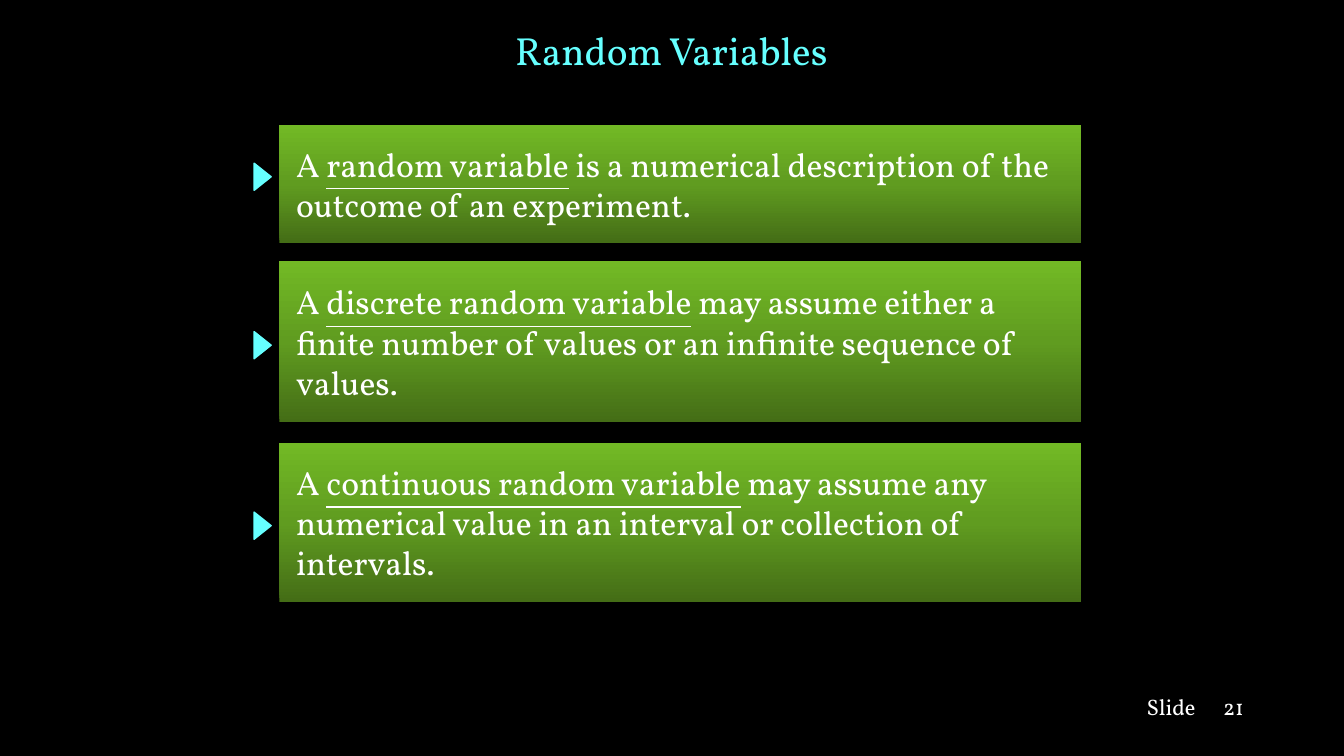
from copy import deepcopy
from pptx import Presentation
from pptx.dml.color import RGBColor
from pptx.enum.shapes import MSO_SHAPE as Kind
from pptx.enum.text import MSO_ANCHOR as Anchor, PP_ALIGN as Align
from pptx.oxml.ns import qn
from pptx.util import Pt


def tint(code):
    return RGBColor.from_string(code)


def write(frame, lines, size=24, color="FFFFFF", font="Vollkorn",
          align=Align.LEFT, anchor=Anchor.MIDDLE, left=7.2, wrap=True):
    frame.word_wrap = wrap
    frame.vertical_anchor = anchor
    frame.margin_left = Pt(left)
    for row, line in enumerate(lines):
        para = frame.add_paragraph() if row else frame.paragraphs[0]
        para.alignment = align
        for spot, part in enumerate(line.split("_")):
            run = para.add_run()
            run.text = part
            run.font.size = Pt(size)
            run.font.name = font
            run.font.color.rgb = tint(color)
            if spot % 2:
                run.font.underline = True


class Deck:
    cyan = "66FFFF"
    greens = ("446D16", "609C20", "72B925")

    def __init__(self):
        self.show = Presentation()
        self.show.slide_width = Pt(960)
        self.show.slide_height = Pt(540)
        self.slide = self.show.slides.add_slide(self.show.slide_layouts[6])
        fill = self.slide.background.fill
        fill.solid()
        fill.fore_color.rgb = tint("000000")

    def label(self, x, y, w, h, text, **style):
        box = self.slide.shapes.add_textbox(Pt(x), Pt(y), Pt(w), Pt(h))
        write(box.text_frame, [text], **style)

    def shape(self, kind, x, y, w, h):
        shape = self.slide.shapes.add_shape(kind, Pt(x), Pt(y), Pt(w), Pt(h))
        shape.shadow.inherit = False
        return shape

    def panel(self, y, h, lines):
        box = self.shape(Kind.RECTANGLE, 199.5, y, 573, h)
        box.line.fill.background()
        box.fill.gradient()
        box.fill.gradient_angle = 90
        stops = box.element.spPr.find(qn("a:gradFill")).find(qn("a:gsLst"))
        stops.insert(1, deepcopy(stops[0]))
        for rank, stop in enumerate(box.fill.gradient_stops):
            stop.position = rank / 2
            stop.color.rgb = tint(self.greens[rank])
        write(box.text_frame, lines, left=12)

    def marker(self, mid):
        w, h = 19.4, 12.2
        mark = self.shape(Kind.ISOSCELES_TRIANGLE, 187.6 - w / 2, mid - h / 2, w, h)
        mark.rotation = 90
        mark.fill.solid()
        mark.fill.fore_color.rgb = tint(self.cyan)
        mark.line.color.rgb = tint(self.cyan)
        mark.line.width = Pt(1)


def main():
    deck = Deck()
    deck.label(173.5, 11.5, 612, 48.2, "Random Variables",
               size=28, color=deck.cyan, align=Align.CENTER)
    terms = (
        (89.3, 84.2, 126.3, (
            "A _random variable_ is a numerical description of the",
            "outcome of an experiment.")),
        (186.5, 115.2, 246.6, (
            "A _discrete random variable_ may assume either a",
            "finite number of values or an infinite sequence of",
            "values.")),
        (316.1, 113.8, 375.5, (
            "A _continuous random variable_ may assume any",
            "numerical value in an interval or collection of",
            "intervals.")),
    )
    for top, high, mid, lines in terms:
        deck.panel(top, high, lines)
        deck.marker(mid)
    for x, w, text in ((812, 52, "Slide"), (866.6, 36, "21")):
        deck.label(x, 491.8, w, 26.6, text, size=16, anchor=Anchor.TOP, wrap=False)
    deck.show.save("out.pptx")


if __name__ == "__main__":
    main()
